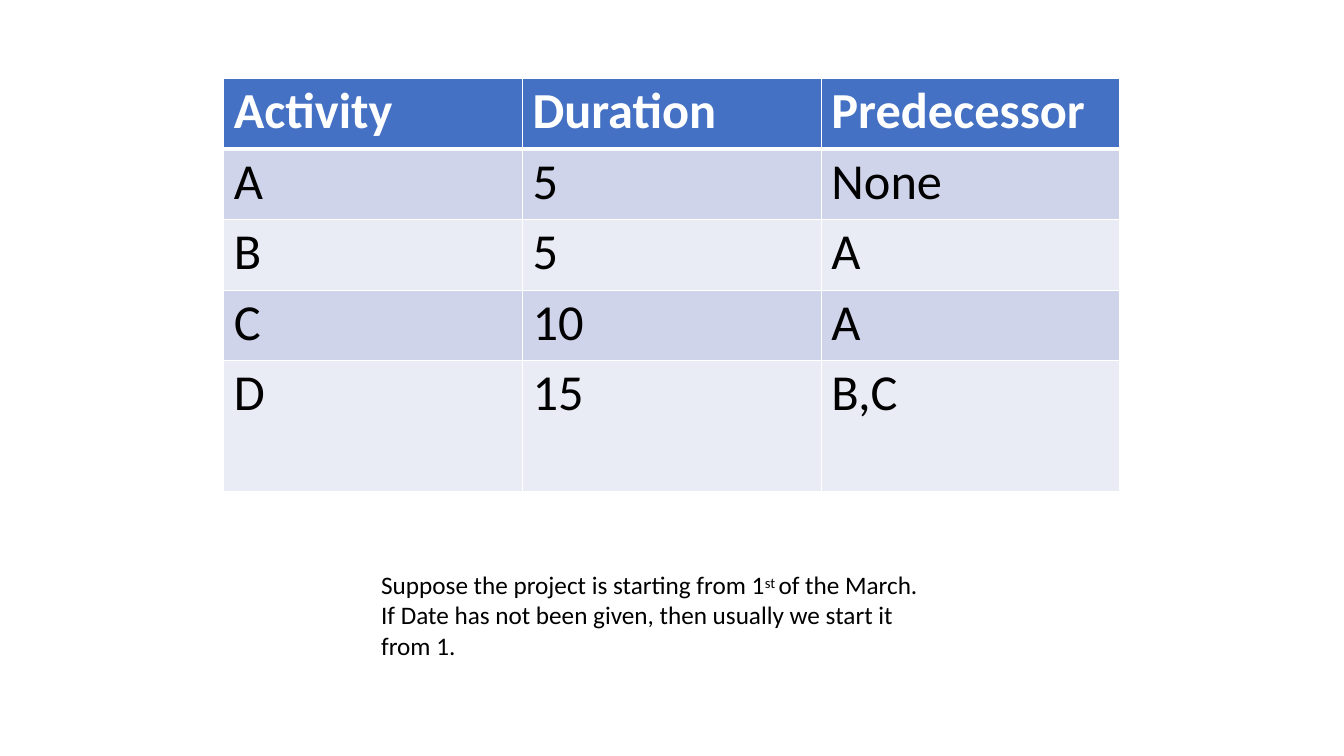
from pptx import Presentation
from pptx.dml.color import RGBColor
from pptx.oxml import parse_xml
from pptx.oxml.ns import nsdecls
from pptx.util import Inches, Pt

ACTIVITIES = [
    ("Activity", "Duration", "Predecessor"),
    ("A", "5", "None"),
    ("B", "5", "A"),
    ("C", "10", "A"),
    ("D", "15", "B,C"),
]
START_NOTE = [
    ("Suppose the project is starting from 1", 0),
    ("st ", 25000),
    ("of the March. If Date has not been given, then usually we start it from 1.", 0),
]

WHITE = RGBColor(0xFF, 0xFF, 0xFF)
BLACK = RGBColor(0, 0, 0)
HEADER_BLUE = RGBColor(0x44, 0x71, 0xC4)
BANDS = [RGBColor(0xE9, 0xEB, 0xF5), RGBColor(0xCF, 0xD4, 0xEA)]

COLUMN_WIDTH = 8.89 / 3
ROW_HEIGHTS = [0.7, 0.7, 0.7, 0.7, 1.3]
THIN, THICK = Pt(1), Pt(3)
CELL_MARGINS = {"margin_left": 0.1, "margin_top": 0.02, "margin_right": 0, "margin_bottom": 0}
NOTE_MARGINS = {"margin_left": 0.04, "margin_top": 0.01, "margin_right": 0, "margin_bottom": 0}


def set_margins(target, margins):
    for side, inches in margins.items():
        setattr(target, side, Inches(inches))


def add_run(paragraph, wording, size, color, bold=False):
    run = paragraph.add_run()
    run.text = wording
    style = {"name": "Calibri", "size": Pt(size), "bold": bold}
    for attribute, value in style.items():
        setattr(run.font, attribute, value)
    run.font.color.rgb = color
    return run


def add_borders(cell, row):
    widths = {
        "lnL": THIN,
        "lnR": THIN,
        "lnT": THICK if row == 1 else THIN,
        "lnB": THICK if row == 0 else THIN,
    }
    properties = cell._tc.get_or_add_tcPr()
    for position, (edge, width) in enumerate(widths.items()):
        properties.insert(position, parse_xml(
            f'<a:{edge} {nsdecls("a")} w="{width}"><a:solidFill>'
            f'<a:srgbClr val="{WHITE}"/></a:solidFill></a:{edge}>'))


def add_activities(slide):
    table = slide.shapes.add_table(
        len(ACTIVITIES), len(ACTIVITIES[0]), Inches(2.22), Inches(0.78),
        Inches(8.89), Inches(sum(ROW_HEIGHTS))).table
    for column in table.columns:
        column.width = Inches(COLUMN_WIDTH)
    for row, (height, entries) in enumerate(zip(ROW_HEIGHTS, ACTIVITIES)):
        table.rows[row].height = Inches(height)
        header = row == 0
        for col, entry in enumerate(entries):
            cell = table.cell(row, col)
            set_margins(cell, CELL_MARGINS)
            cell.fill.solid()
            cell.fill.fore_color.rgb = HEADER_BLUE if header else BANDS[row % 2]
            add_borders(cell, row)
            paragraph = cell.text_frame.paragraphs[0]
            paragraph.space_before = Pt(1.4)
            add_run(paragraph, entry, 36, WHITE if header else BLACK, header)


def add_start_note(slide):
    frame = slide.shapes.add_textbox(
        Inches(3.74), Inches(5.64), Inches(5.45), Inches(0.93)).text_frame
    frame.word_wrap = True
    set_margins(frame, NOTE_MARGINS)
    paragraph = frame.paragraphs[0]
    paragraph.space_before = Pt(1)
    for wording, baseline in START_NOTE:
        run = add_run(paragraph, wording, 18, BLACK)
        if baseline:
            run._r.get_or_add_rPr().set("baseline", str(baseline))


def main():
    deck = Presentation()
    deck.slide_width, deck.slide_height = Inches(13.33), Inches(7.5)
    slide = deck.slides.add_slide(deck.slide_layouts[6])
    add_activities(slide)
    add_start_note(slide)
    deck.save("out.pptx")


if __name__ == "__main__":
    main()
